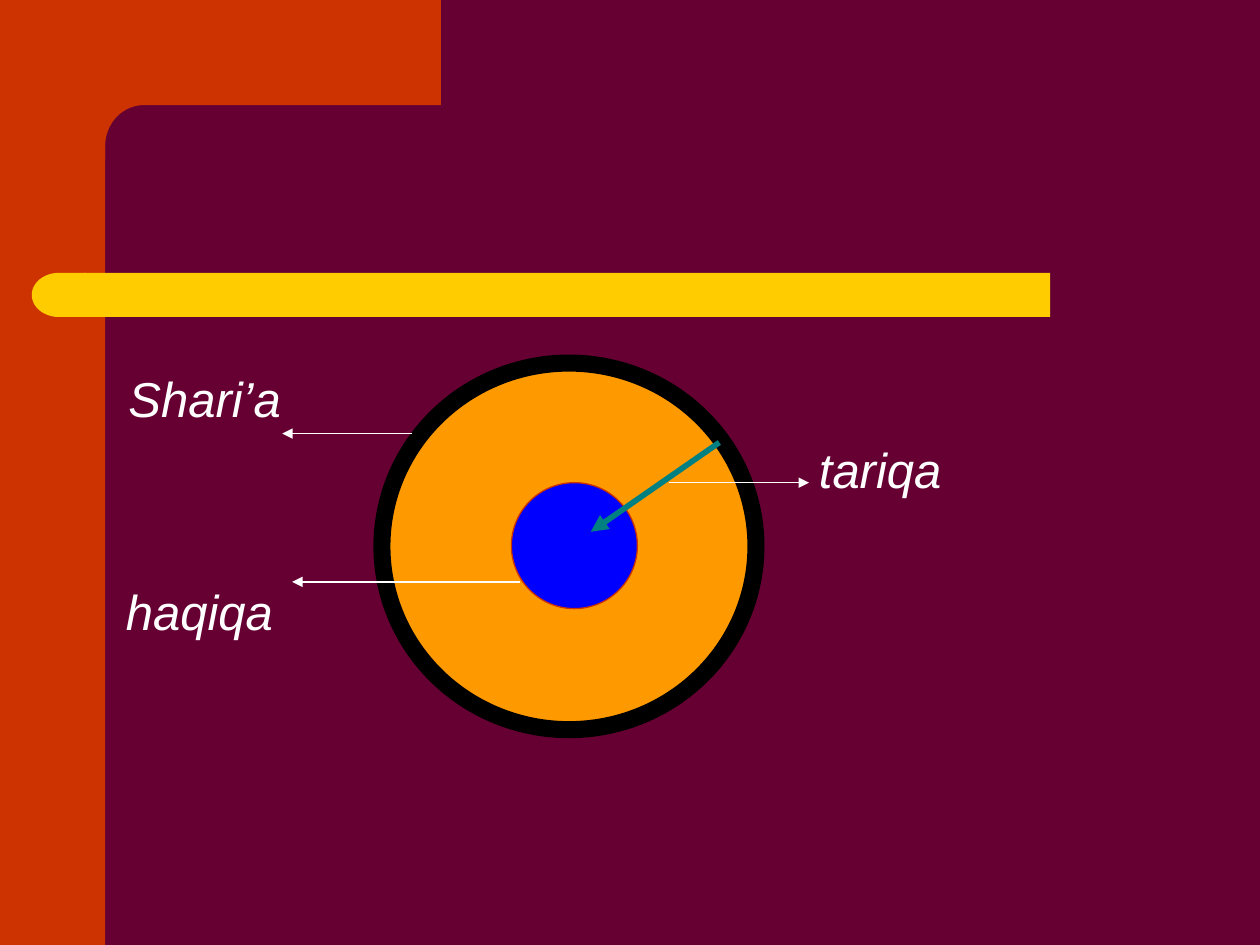
from math import cos, pi, sin

from lxml.etree import SubElement
from pptx import Presentation
from pptx.dml.color import RGBColor
from pptx.enum.shapes import MSO_CONNECTOR, MSO_SHAPE
from pptx.enum.text import MSO_ANCHOR
from pptx.oxml.ns import qn
from pptx.util import Cm, Pt

THEME = {
    "ground": "660033", "frame": "CC3300", "bar": "FFCC00",
    "ring": "000000", "disc": "FF9900", "core": "0000FF",
    "path": "008080", "text": "FFFFFF",
    "font": "Arial", "size": 28,
}
PAGE_WIDTH, PAGE_HEIGHT = 25.4, 19.05

# Content, all lengths in cm
SIDEBAR = 2.12
CORNER = {"left": 1.27, "right": 8.89, "bottom": 3.25, "radii": (0.78, 0.83)}
BARS = [  # shape, left, top, width, height, rotation
    (MSO_SHAPE.RECTANGLE, 1.7, 5.5, 19.47, 0.89, 0),
    (MSO_SHAPE.FLOWCHART_DELAY, 0.64, 5.5, 1.09, 0.89, 180),
]
LABELS = [  # text, left, top
    ("Shari’a", 2.59, 7.43),
    ("tariqa", 16.51, 8.86),
    ("haqiqa", 2.54, 11.72),
]
CIRCLES = [  # left, top, width, height, fill, line, line width
    (7.7, 7.32, 7.54, 7.39, "disc", "ring", 9.75),
    (10.31, 9.73, 2.54, 2.54, "core", "frame", 0.75),
]
ARROWS = [  # start, end, colour, line width
    ((14.5, 8.92), (11.91, 10.72), "path", 3.25),
    ((8.31, 8.74), (5.69, 8.74), "text", 0.75),
    ((10.49, 11.73), (5.89, 11.73), "text", 0.75),
    ((13.49, 9.73), (16.31, 9.73), "text", 0.75),
]


def colour(name):
    return RGBColor.from_string(THEME[name])


def paint(shape, fill, line=None, width=0):
    shape.shadow.inherit = False
    shape.fill.solid()
    shape.fill.fore_color.rgb = colour(fill)
    if line:
        shape.line.color.rgb = colour(line)
        shape.line.width = Pt(width)
    else:
        shape.line.fill.background()


def add_shape(page, kind, *place):
    return page.shapes.add_shape(kind, *map(Cm, place))


def add_corner(page):
    """Top block whose inner corner is a concave quarter ellipse."""
    left, right, bottom = CORNER["left"], CORNER["right"], CORNER["bottom"]
    across, down = CORNER["radii"]
    steps = 24
    curve = [
        (SIDEBAR + across * (1 - sin(angle)), SIDEBAR + down * (1 - cos(angle)))
        for angle in (pi / 2 * step / steps for step in range(steps + 1))
    ]
    points = [(right, 0), (right, SIDEBAR), *curve,
              (SIDEBAR, bottom), (left, bottom), (left, 0)]
    points = [(Cm(x), Cm(y)) for x, y in points]
    builder = page.shapes.build_freeform(*points[0])
    builder.add_line_segments(points[1:], close=True)
    paint(builder.convert_to_shape(), "frame")


def add_label(page, text, left, top):
    box = page.shapes.add_textbox(Cm(left), Cm(top), Cm(4.5), Cm(1.14))
    frame = box.text_frame
    layout = {"word_wrap": True, "vertical_anchor": MSO_ANCHOR.TOP,
              "margin_left": 0, "margin_right": 0,
              "margin_top": 0, "margin_bottom": 0}
    for name, value in layout.items():
        setattr(frame, name, value)
    span = frame.paragraphs[0].add_run()
    span.text = text
    style = {"name": THEME["font"], "size": Pt(THEME["size"]), "italic": True}
    for name, value in style.items():
        setattr(span.font, name, value)
    span.font.color.rgb = colour("text")


def add_arrow(page, start, end, line, width):
    arrow = page.shapes.add_connector(
        MSO_CONNECTOR.STRAIGHT, *map(Cm, start + end))
    arrow.line.color.rgb = colour(line)
    arrow.line.width = Pt(width)
    SubElement(arrow.line._get_or_add_ln(), qn("a:tailEnd"), type="triangle")
    SubElement(arrow._element.spPr, qn("a:effectLst"))


def main():
    deck = Presentation()
    deck.slide_width, deck.slide_height = Cm(PAGE_WIDTH), Cm(PAGE_HEIGHT)
    page = deck.slides.add_slide(deck.slide_layouts[6])
    page.background.fill.solid()
    page.background.fill.fore_color.rgb = colour("ground")

    # Frame and bar
    paint(add_shape(page, MSO_SHAPE.RECTANGLE, 0, 0, SIDEBAR, PAGE_HEIGHT), "frame")
    add_corner(page)
    for kind, *place, rotation in BARS:
        bar = add_shape(page, kind, *place)
        bar.rotation = rotation
        paint(bar, "bar")

    # Labels, circles and arrows
    for label in LABELS:
        add_label(page, *label)
    for *place, fill, line, width in CIRCLES:
        paint(add_shape(page, MSO_SHAPE.OVAL, *place), fill, line, width)
    for arrow in ARROWS:
        add_arrow(page, *arrow)

    deck.save("out.pptx")


if __name__ == "__main__":
    main()
